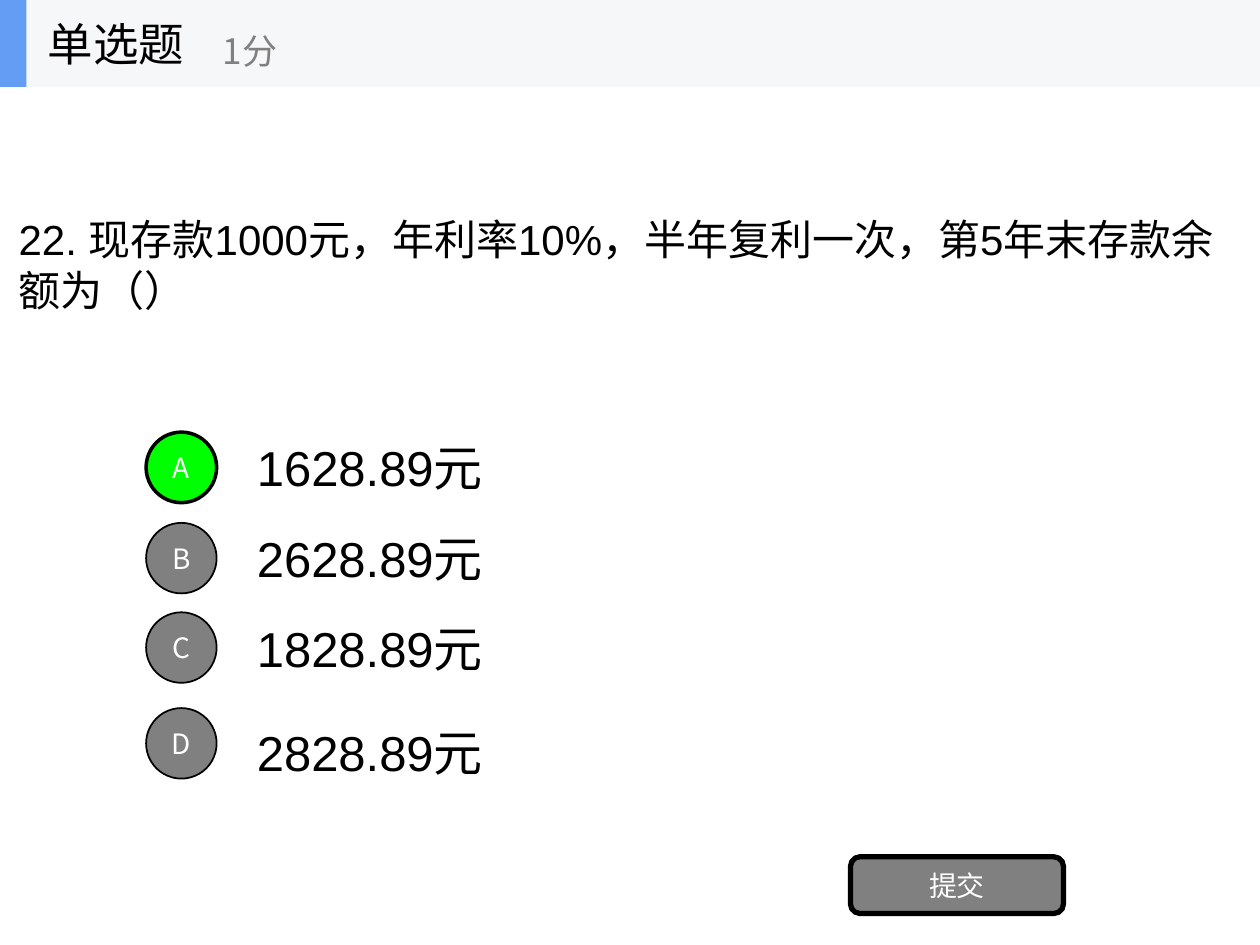
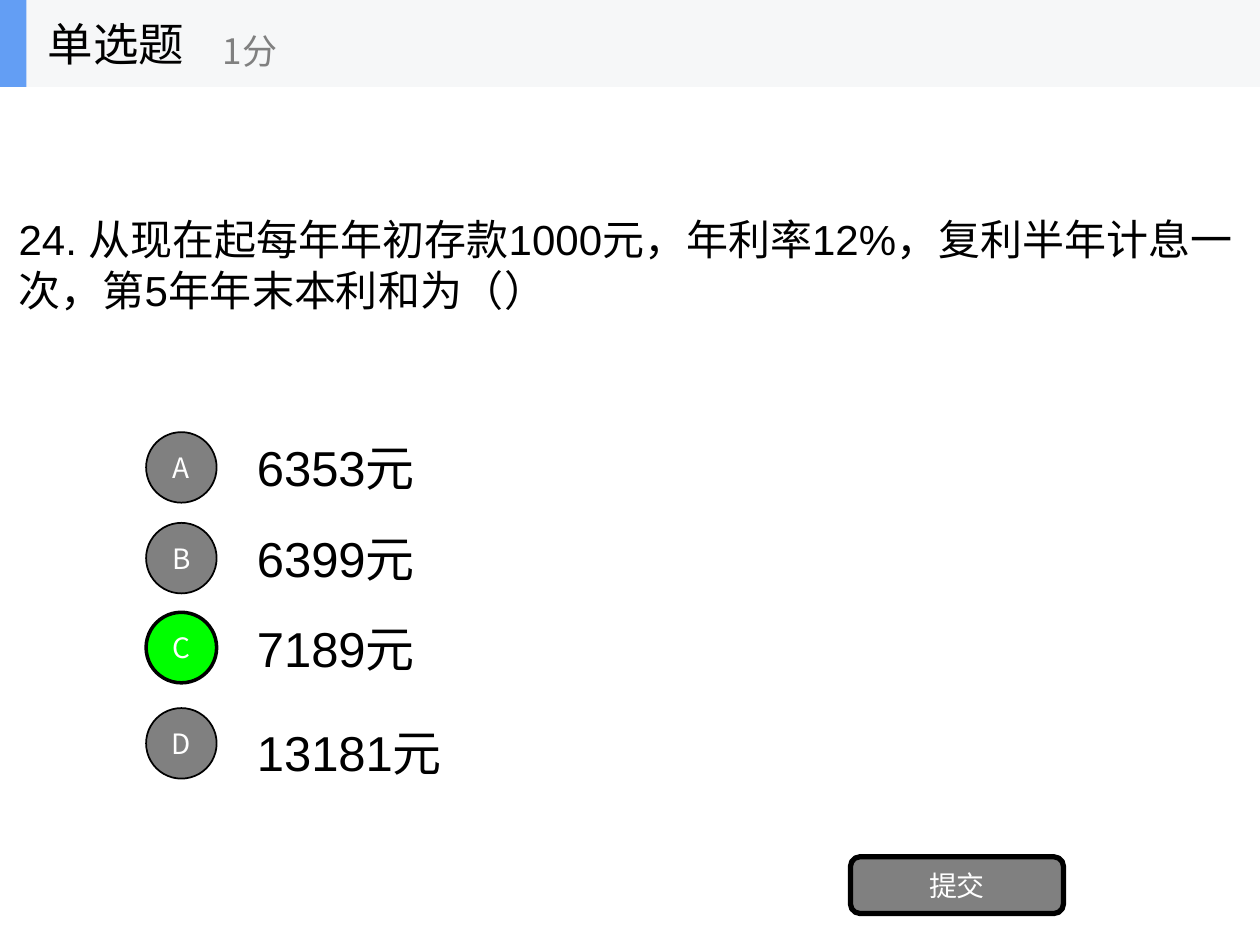
import pptx
import pptx.dml.color
import pptx.enum.shapes
import pptx.enum.text
import pptx.oxml.ns
import pptx.util
from lxml import etree

Inches, Pt = pptx.util.Inches, pptx.util.Pt
RGB = pptx.dml.color.RGBColor
KIND = pptx.enum.shapes.MSO_SHAPE
ALIGN = pptx.enum.text.PP_ALIGN

QUIZ = [
    {"ask": "22. 现存款1000元，年利率10%，半年复利一次，第5年末存款余额为（）",
     "picks": ["1628.89元", "2628.89元", "1828.89元", "2828.89元"],
     "key": "A"},
    {"ask": "24. 从现在起每年年初存款1000元，年利率12%，复利半年计息一次，第5年年末本利和为（）",
     "picks": ["6353元", "6399元", "7189元", "13181元"],
     "key": "C"},
]
TITLE, SCORE, SUBMIT = "单选题", "1分", "提交"

BLACK = RGB(0x00, 0x00, 0x00)
WHITE = RGB(0xFF, 0xFF, 0xFF)
GRAY = RGB(0x80, 0x80, 0x80)
GREEN = RGB(0x00, 0xFF, 0x00)
BAND = RGB(0xF6, 0xF7, 0xF8)
BLUE = RGB(0x63, 0x9E, 0xF4)
LATIN, HAN = "Arial", "Noto Sans CJK SC"

WIDE, HIGH = 10, 7.5
HEAD = 0.69
DOT = 0.56
# Letter, top of the answer text, top of the round mark
ROWS = [("A", 3.36, 3.43), ("B", 4.08, 4.15), ("C", 4.79, 4.86), ("D", 5.62, 5.62)]

FRAME = {
    "word_wrap": True,
    "vertical_anchor": pptx.enum.text.MSO_ANCHOR.MIDDLE,
    "margin_left": Inches(0.1), "margin_right": Inches(0.1),
    "margin_top": Inches(0.05), "margin_bottom": Inches(0.05),
}


def fill_text(shape, text, size, face, color, align=ALIGN.LEFT):
    frame = shape.text_frame
    for name, value in FRAME.items():
        setattr(frame, name, value)
    para = frame.paragraphs[0]
    para.alignment = align
    run = para.add_run()
    run.text = text
    for name, value in {"size": Pt(size), "name": face}.items():
        setattr(run.font, name, value)
    run.font.color.rgb = color
    east = etree.SubElement(run.font._element, pptx.oxml.ns.qn("a:ea"))
    east.set("typeface", HAN)


def add_text(shapes, at, *style):
    fill_text(shapes.add_textbox(*map(Inches, at)), *style)


def add_box(shapes, kind, at, fill, line=0, label=""):
    """Add a filled shape; a line of 0 points means no outline."""
    box = shapes.add_shape(kind, *map(Inches, at))
    box.shadow.inherit = False
    box.fill.solid()
    box.fill.fore_color.rgb = fill
    if line:
        box.line.color.rgb = BLACK
        box.line.width = Pt(line)
    else:
        box.line.fill.background()
    if label:
        fill_text(box, label, 16, HAN, WHITE, ALIGN.CENTER)


def add_head(slide):
    parts = slide.shapes.add_group_shape().shapes
    add_box(parts, KIND.RECTANGLE, (0, 0, WIDE, HEAD), BAND)
    add_box(parts, KIND.RECTANGLE, (0, 0, 0.21, HEAD), BLUE)
    add_text(parts, (0.28, 0, 2.08, HEAD), TITLE, 26, HAN, BLACK)
    add_text(parts, (1.67, 0.12, 2.5, 0.56), SCORE, 20, HAN, GRAY)


def add_quiz(slide, quiz):
    shapes = slide.shapes
    add_text(shapes, (0.05, 1.22, 9.86, 1.75), quiz["ask"], 24, LATIN, BLACK)
    for (_, top, _), pick in zip(ROWS, quiz["picks"]):
        add_text(shapes, (1.94, top, 7, 0.7), pick, 28, LATIN, BLACK)
    for mark, _, top in ROWS:
        fill, line = (GREEN, 2) if mark == quiz["key"] else (GRAY, 1)
        add_box(shapes, KIND.OVAL, (1.16, top, DOT, DOT), fill, line, mark)
    add_box(shapes, KIND.ROUNDED_RECTANGLE, (6.75, 6.8, 1.69, 0.45), GRAY, 3, SUBMIT)
    add_head(slide)


def main():
    deck = pptx.Presentation()
    deck.slide_width, deck.slide_height = Inches(WIDE), Inches(HIGH)
    for quiz in QUIZ:
        add_quiz(deck.slides.add_slide(deck.slide_layouts[6]), quiz)
    deck.save("out.pptx")


if __name__ == "__main__":
    main()
